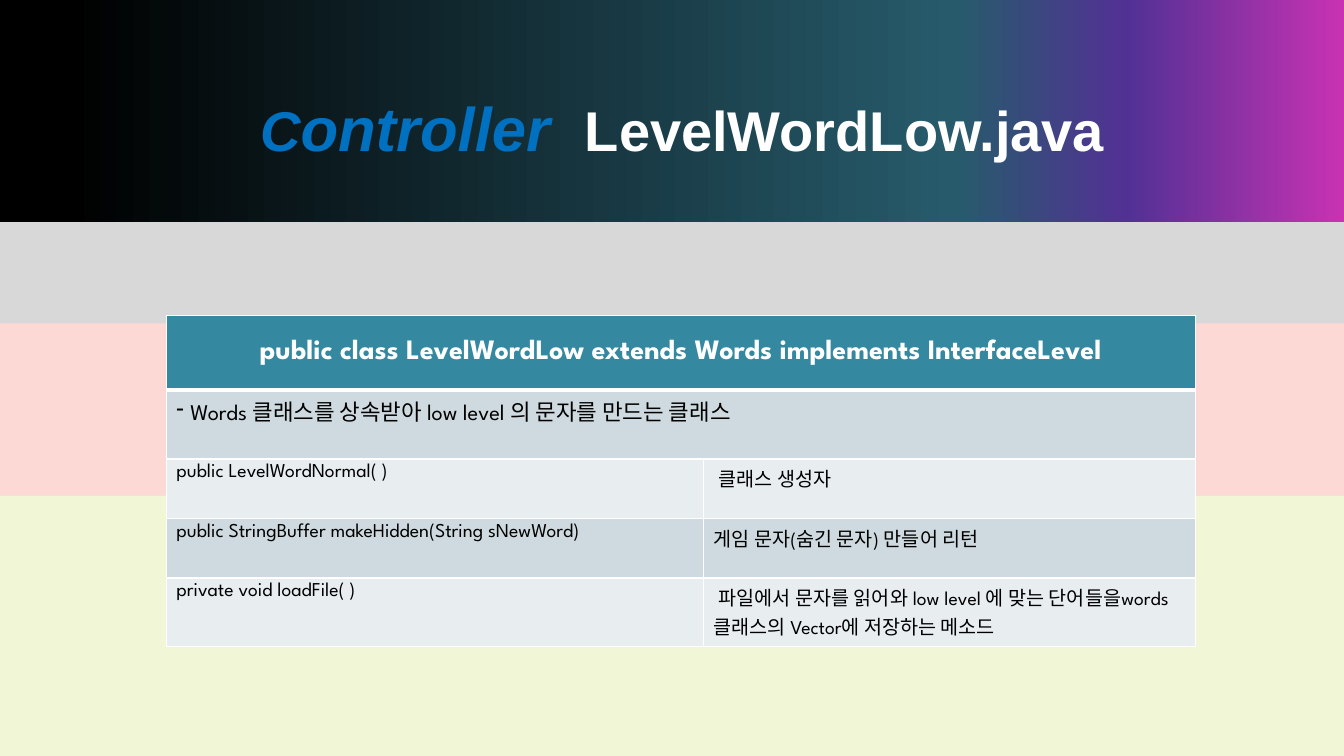
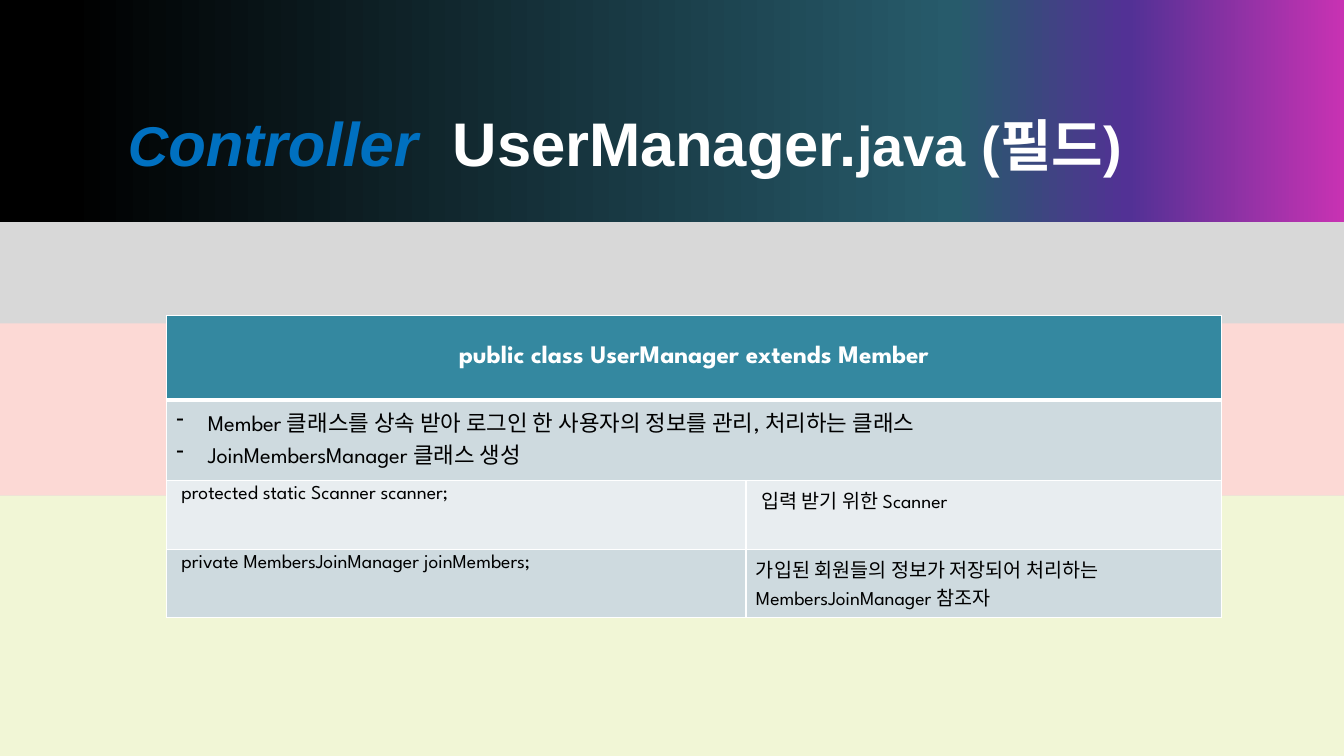
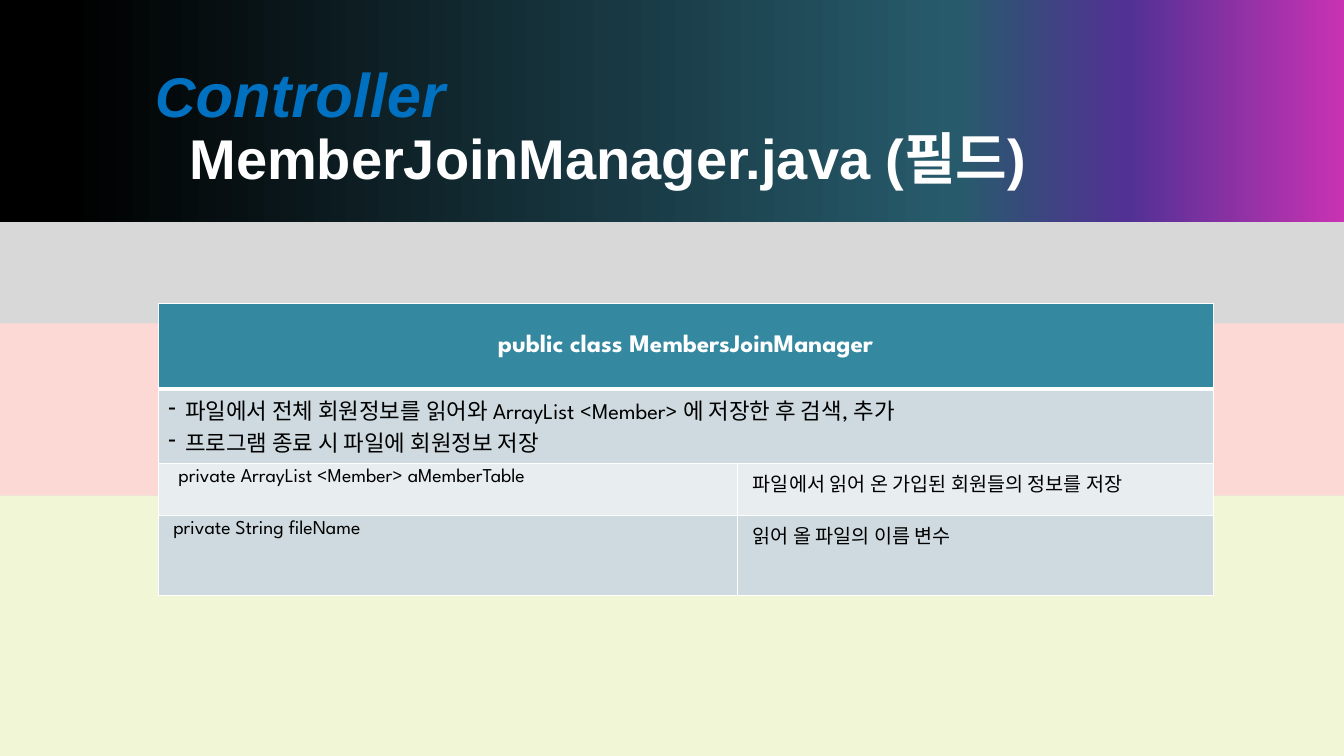
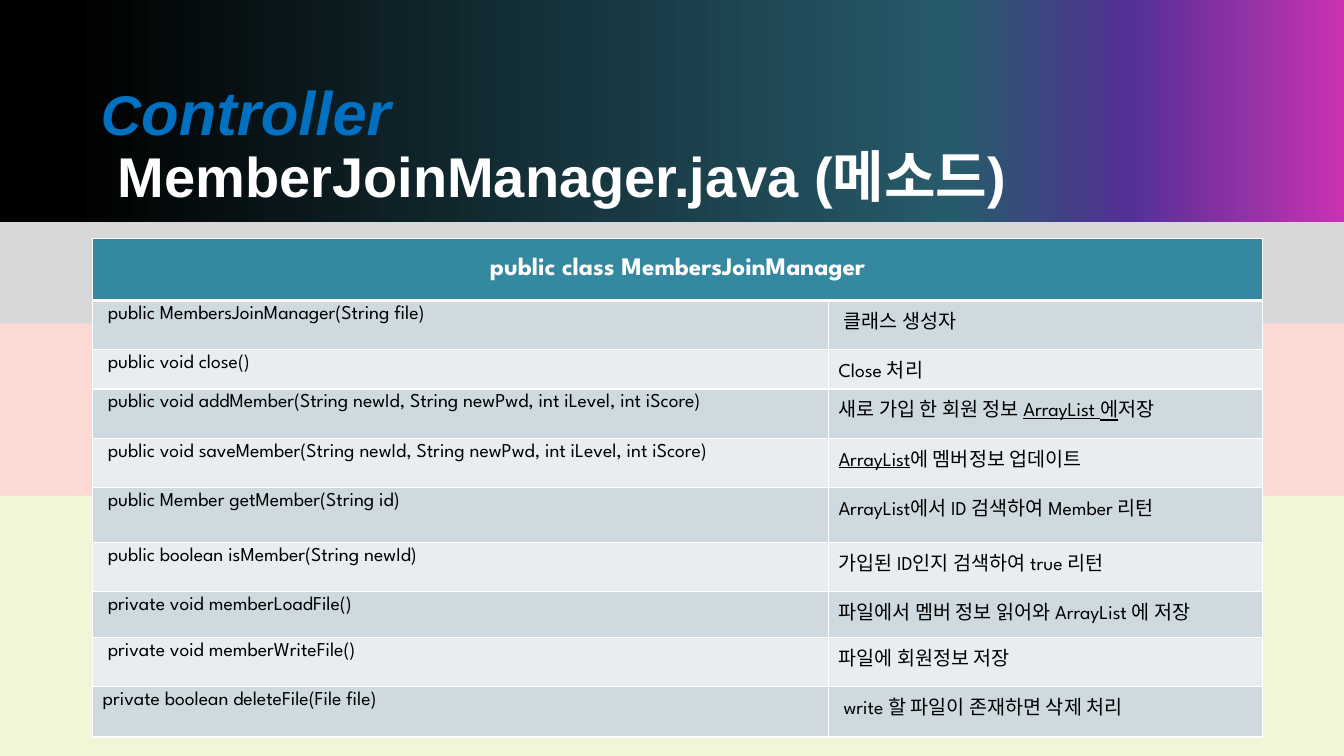
from dataclasses import dataclass
from typing import NamedTuple

from lxml.etree import SubElement
from pptx import Presentation
from pptx.dml.color import RGBColor
from pptx.enum.shapes import MSO_SHAPE as Preset
from pptx.enum.text import MSO_ANCHOR as Anchor, MSO_AUTO_SIZE as AutoSize, PP_ALIGN as Align
from pptx.oxml.ns import qn
from pptx.util import Pt


@dataclass(frozen=True)
class Theme:
    title_font: str = "Arial"
    table_font: str = "League Spartan"
    accent: str = "0070C0"
    white: str = "FFFFFF"
    ink: str = "000000"
    grey: str = "BFBFBF"
    pink: str = "FCD9D5"
    lime: str = "F1F6D6"
    header: str = "3488A0"
    stripes: tuple = ("E8EDF0", "CEDADF")
    gradient: tuple = ((0, "C832B3"), (16, "523195"), (29, "275B6B"), (95, "000000"))
    title_size: int = 40
    title_large: int = 44
    header_size: int = 18
    header_large: int = 20
    summary_size: int = 16
    member_size: int = 14
    border: int = 1
    header_border: int = 3


class Span(NamedTuple):
    text: str
    underline: bool = False


class Line(NamedTuple):
    spans: tuple
    indent: float = 0
    bullet: bool = False


def plain(text, indent=0):
    return Line((Span(text),), indent)


def dash(text, indent):
    return Line((Span(text),), indent, True)


class Deck:
    width, height = 960, 540
    name_tab = 232

    def __init__(self, theme):
        self.theme = theme
        self.deck = Presentation()
        self.deck.slide_width, self.deck.slide_height = Pt(self.width), Pt(self.height)
        self.layout = self.deck.slide_layouts[5]
        self.page = None

    def start_page(self):
        first = self.page is None
        self.page = self.deck.slides.add_slide(self.layout)
        if first:
            self.share_backdrop()
        self.band(231, 123, self.theme.pink)
        self.band(354, 186, self.theme.lime)

    def share_backdrop(self):
        veil = self.band(9, self.height - 9, self.theme.grey)
        colour = next(veil.element.spPr.iter(qn("a:srgbClr")))
        SubElement(colour, qn("a:alpha"), val="60000")

        banner = self.band(0, 158.4, self.theme.ink)
        banner.fill.gradient()
        banner.fill.gradient_angle = 180
        stops = next(banner.element.spPr.iter(qn("a:gsLst")))
        for stop in list(stops):
            stops.remove(stop)
        for position, value in self.theme.gradient:
            stop = SubElement(stops, qn("a:gs"), pos=str(position * 1000))
            SubElement(stop, qn("a:srgbClr"), val=value)

        tree = self.layout.element.cSld.spTree
        for order, shape in enumerate((veil, banner)):
            shape.element.nvSpPr.cNvPr.set("id", str(101 + order))
            tree.insert(2 + order, shape.element)

    def band(self, top, height, colour):
        shape = self.page.shapes.add_shape(
            Preset.RECTANGLE, Pt(0), Pt(top), Pt(self.width), Pt(height))
        shape.shadow.inherit = False
        shape.fill.solid()
        shape.fill.fore_color.rgb = RGBColor.from_string(colour)
        shape.line.fill.background()
        return shape

    def span(self, para, text, font, size, colour, bold=False, italic=False, underline=False):
        span = para.add_run()
        span.text = text
        span.font.name = font
        span.font.size = Pt(size)
        span.font.bold = bold
        span.font.italic = italic
        span.font.underline = underline
        span.font.color.rgb = RGBColor.from_string(colour)

    def title(self, left, top, width, parts, hang=0):
        theme = self.theme
        box = self.page.shapes.title
        box.left, box.top, box.width, box.height = Pt(left), Pt(top), Pt(width), Pt(108)
        frame = box.text_frame
        frame.word_wrap = True
        frame.auto_size = AutoSize.NONE
        frame.vertical_anchor = Anchor.MIDDLE
        para = frame.paragraphs[0]
        properties = para._p.get_or_add_pPr()
        if hang:
            properties.set("marL", str(Pt(hang)))
            properties.set("indent", str(Pt(-hang)))
        else:
            tabs = SubElement(properties, qn("a:tabLst"))
            SubElement(tabs, qn("a:tab"), pos=str(Pt(self.name_tab)), algn="l")
        para.alignment = Align.LEFT
        para.line_spacing = 0.9
        label = "ontroller" if hang else "ontroller\t"
        for text, size in (("C", theme.title_size), (label, theme.title_large)):
            self.span(para, text, theme.title_font, size, theme.accent, True, True)
        if hang:
            para.add_line_break()
        for text, size in parts:
            self.span(para, text, theme.title_font, size, theme.white, True)

    def cell(self, cell, lines, size, fill, top_border, bottom_border, heading=False):
        theme = self.theme
        properties = cell._tc.get_or_add_tcPr()
        borders = {"lnL": theme.border, "lnR": theme.border,
                   "lnT": top_border, "lnB": bottom_border}
        for side, weight in borders.items():
            edge = SubElement(properties, qn(f"a:{side}"), w=str(Pt(weight)))
            paint = SubElement(edge, qn("a:solidFill"))
            SubElement(paint, qn("a:srgbClr"), val=theme.white)
        cell.fill.solid()
        cell.fill.fore_color.rgb = RGBColor.from_string(fill)
        cell.vertical_anchor = Anchor.MIDDLE if heading else Anchor.TOP
        colour = theme.white if heading else theme.ink
        frame = cell.text_frame
        for index, line in enumerate(lines):
            para = frame.paragraphs[0] if index == 0 else frame.add_paragraph()
            layout = para._p.get_or_add_pPr()
            if line.bullet:
                layout.set("marL", str(Pt(line.indent)))
                layout.set("indent", str(Pt(-line.indent)))
                SubElement(layout, qn("a:buChar"), char="-")
            elif line.indent:
                layout.set("indent", str(Pt(line.indent)))
            para.alignment = Align.CENTER if heading else Align.LEFT
            for text, underline in line.spans:
                self.span(para, text, theme.table_font, size, colour, heading,
                          underline=underline)

    def class_table(self, left, top, widths, heights, heading, members,
                    summary=(), heading_size=None):
        theme = self.theme
        table = self.page.shapes.add_table(
            len(heights), len(widths), Pt(left), Pt(top),
            Pt(sum(widths)), Pt(sum(heights))).table
        for column, width in zip(table.columns, widths):
            column.width = Pt(width)
        for row, height in zip(table.rows, heights):
            row.height = Pt(height)

        rows = [([plain(heading)], ())]
        if summary:
            rows.append((summary, ()))
        rows += [([label], [note]) for label, note in members]
        for index, contents in enumerate(rows):
            is_heading = index == 0
            is_summary = bool(summary) and index == 1
            if is_heading:
                size = heading_size or theme.header_size
            else:
                size = theme.summary_size if is_summary else theme.member_size
            fill = theme.header if is_heading else theme.stripes[index % 2]
            above = theme.header_border if index == 1 else theme.border
            below = theme.header_border if is_heading else theme.border
            if is_heading or is_summary:
                table.cell(index, 0).merge(table.cell(index, 1))
            for column, lines in enumerate(contents):
                self.cell(table.cell(index, column), lines, size, fill,
                          above, below, is_heading)

    def save(self):
        self.deck.save("out.pptx")


def main():
    theme = Theme()
    deck = Deck(theme)
    normal, large = theme.title_size, theme.title_large
    space = 3.6

    deck.start_page()
    deck.title(178.6, 39.6, 663.8, [("LevelWordLow.java", normal)])
    deck.class_table(
        118.8, 225.4, (383.8, 351.4), (53, 49.5, 42.5, 42.5, 49),
        "public class LevelWordLow extends Words implements InterfaceLevel",
        [
            (plain("public LevelWordNormal( )"), plain("클래스 생성자", space)),
            (plain("public StringBuffer makeHidden(String sNewWord)"),
             plain("게임 문자(숨긴 문자) 만들어 리턴")),
            (plain("private void loadFile( )"),
             plain("파일에서 문자를 읽어와 low level 에 맞는 단어들을words 클래스의 Vector에 저장하는 메소드",
                   space)),
        ],
        [dash("Words 클래스를 상속받아 low level 의 문자를 만드는 클래스", 10)],
        theme.header_large)

    deck.start_page()
    deck.title(84.2, 50.4, 753, [("UserManager.", large), ("java (필드)", normal)])
    deck.class_table(
        118.8, 225.4, (414, 339.6), (60.5, 57.5, 49, 49),
        "public class UserManager extends Member",
        [
            (plain("protected static Scanner scanner;", space),
             plain("입력 받기 위한 Scanner", space)),
            (plain("private MembersJoinManager joinMembers;", space),
             plain("가입된 회원들의 정보가 저장되어 처리하는 MembersJoinManager 참조자")),
        ],
        [dash("Member 클래스를 상속 받아 로그인 한 사용자의 정보를 관리, 처리하는 클래스", 22.5),
         dash("JoinMembersManager 클래스 생성", 22.5)])

    deck.start_page()
    deck.title(103.7, 37.4, 703.4, [("MemberJoinManager.java (필드)", normal)], 24.4)
    deck.class_table(
        113, 216.7, (414, 339.6), (61, 53.3, 37.5, 57),
        "public class MembersJoinManager",
        [
            (plain("private ArrayList <Member> aMemberTable", 2 * space),
             plain("파일에서 읽어 온 가입된 회원들의 정보를 저장", space)),
            (plain("private String fileName", space),
             plain("읽어 올 파일의 이름 변수", space)),
        ],
        [dash("파일에서 전체 회원정보를 읽어와 ArrayList <Member> 에 저장한 후 검색, 추가", 12),
         dash("프로그램 종료 시 파일에 회원정보 저장", 12)])

    deck.start_page()
    deck.title(64.8, 50.4, 772.6, [("MemberJoinManager.java (메소드)", normal)], 12.2)
    deck.class_table(
        66.2, 170.6, (525.6, 310.2), (44, 35.3, 28, 35.3, 35.3, 39, 35.3, 32.5, 35.3, 36),
        "public class MembersJoinManager",
        [
            (plain("public MembersJoinManager(String file)", space),
             plain("클래스 생성자", space)),
            (plain("public void close()", space), plain("Close 처리")),
            (plain("public void addMember(String newId, String newPwd, int iLevel, int iScore)", space),
             Line((Span("새로 가입 한 회원 정보 "), Span("ArrayList 에", True), Span("저장")))),
            (plain("public void saveMember(String newId, String newPwd, int iLevel, int iScore)", space),
             Line((Span("ArrayList", True), Span("에 멤버정보 업데이트")))),
            (plain("public Member getMember(String id)", space),
             plain("ArrayList에서 ID 검색하여 Member 리턴")),
            (plain("public boolean isMember(String newId)", space),
             plain("가입된 ID인지 검색하여 true 리턴")),
            (plain("private void memberLoadFile()", space),
             plain("파일에서 멤버 정보 읽어와 ArrayList 에 저장")),
            (plain("private void memberWriteFile()", space), plain("파일에 회원정보 저장")),
            (plain("private boolean deleteFile(File file)"),
             plain("write 할 파일이 존재하면 삭제 처리", space)),
        ])

    deck.save()


if __name__ == "__main__":
    main()
